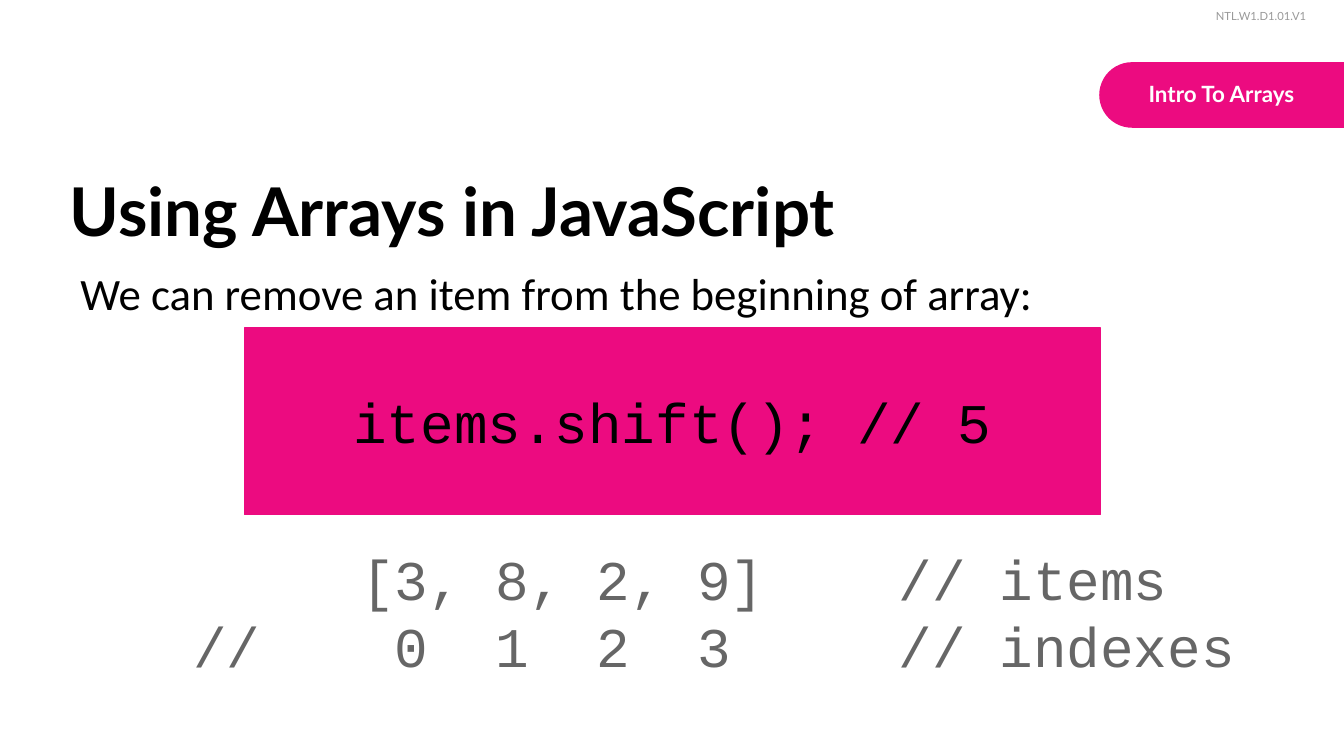
from pptx import Presentation
from pptx.dml.color import RGBColor
from pptx.enum.shapes import MSO_SHAPE
from pptx.enum.text import MSO_ANCHOR, PP_ALIGN
from pptx.util import Cm, Pt

LEFT, CENTER = PP_ALIGN.LEFT, PP_ALIGN.CENTER
TOP, MIDDLE = MSO_ANCHOR.TOP, MSO_ANCHOR.MIDDLE
PINK, BLACK, WHITE = "EC0B80", "000000", "FFFFFF"
DARK_GREY, LIGHT_GREY = "666666", "999999"


def paint(color_format, color):
    color_format.rgb = RGBColor.from_string(color)


def write(box, lines, font, size, color, bold=False, align=LEFT, anchor=TOP):
    frame = box.text_frame
    frame.word_wrap = True
    frame.vertical_anchor = anchor
    frame.margin_left = frame.margin_right = Cm(0.25)
    frame.margin_top = frame.margin_bottom = Cm(0.25)
    frame.text = "\n".join(lines)
    for para in frame.paragraphs:
        para.alignment = align
        para.font.name = font
        para.font.size = Pt(size)
        para.font.bold = bold
        paint(para.font.color, color)


deck = Presentation()
deck.slide_width, deck.slide_height = Cm(25.4), Cm(14.29)
page = deck.slides.add_slide(deck.slide_layouts[6])
shapes = page.shapes

# Topic tab on the right edge
tab = shapes.add_shape(MSO_SHAPE.ROUND_2_SAME_RECTANGLE,
                       Cm(22.48), Cm(-0.53), Cm(1.24), Cm(4.65))
tab.adjustments[0] = 0.5
tab.rotation = 270
tab.shadow.inherit = False
tab.fill.solid()
paint(tab.fill.fore_color, PINK)
tab.line.fill.background()

topic = shapes.add_textbox(Cm(20.9), Cm(1.27), Cm(4.37), Cm(1.02))
write(topic, ["Intro To Arrays"], "Lato", 12, WHITE, bold=True, align=CENTER)

lesson_code = shapes.add_textbox(Cm(22.73), Cm(0), Cm(2.46), Cm(0.76))
write(lesson_code, ["NTL.W1.D1.01.V1"], "Lato", 6, LIGHT_GREY)
lesson_code.text_frame.paragraphs[0].line_spacing = 1.15

# Title and explanation
title = shapes.add_textbox(Cm(1.07), Cm(2.95), Cm(21.39), Cm(6.76))
write(title, ["Using Arrays in JavaScript"], "Lato", 36, BLACK, bold=True)

explanation = shapes.add_textbox(Cm(1.27), Cm(4.78), Cm(22.86), Cm(10.34))
write(explanation, ["We can remove an item from the beginning of array:"],
      "Calibri", 24, BLACK)

# Code call and resulting array
call = shapes.add_shape(MSO_SHAPE.RECTANGLE,
                        Cm(4.62), Cm(6.2), Cm(16.18), Cm(3.53))
call.shadow.inherit = False
call.fill.solid()
paint(call.fill.fore_color, PINK)
paint(call.line.color, PINK)
call.line.width = Pt(0.75)
write(call, ["items.shift(); // 5"], "Courier New", 30, BLACK,
      align=CENTER, anchor=MIDDLE)

result = shapes.add_textbox(Cm(2.77), Cm(9.8), Cm(21.03), Cm(3.53))
write(result,
      ["      [3, 8, 2, 9]    // items",
       " //    0  1  2  3     // indexes"],
      "Courier New", 30, DARK_GREY, anchor=MIDDLE)

deck.save("out.pptx")
